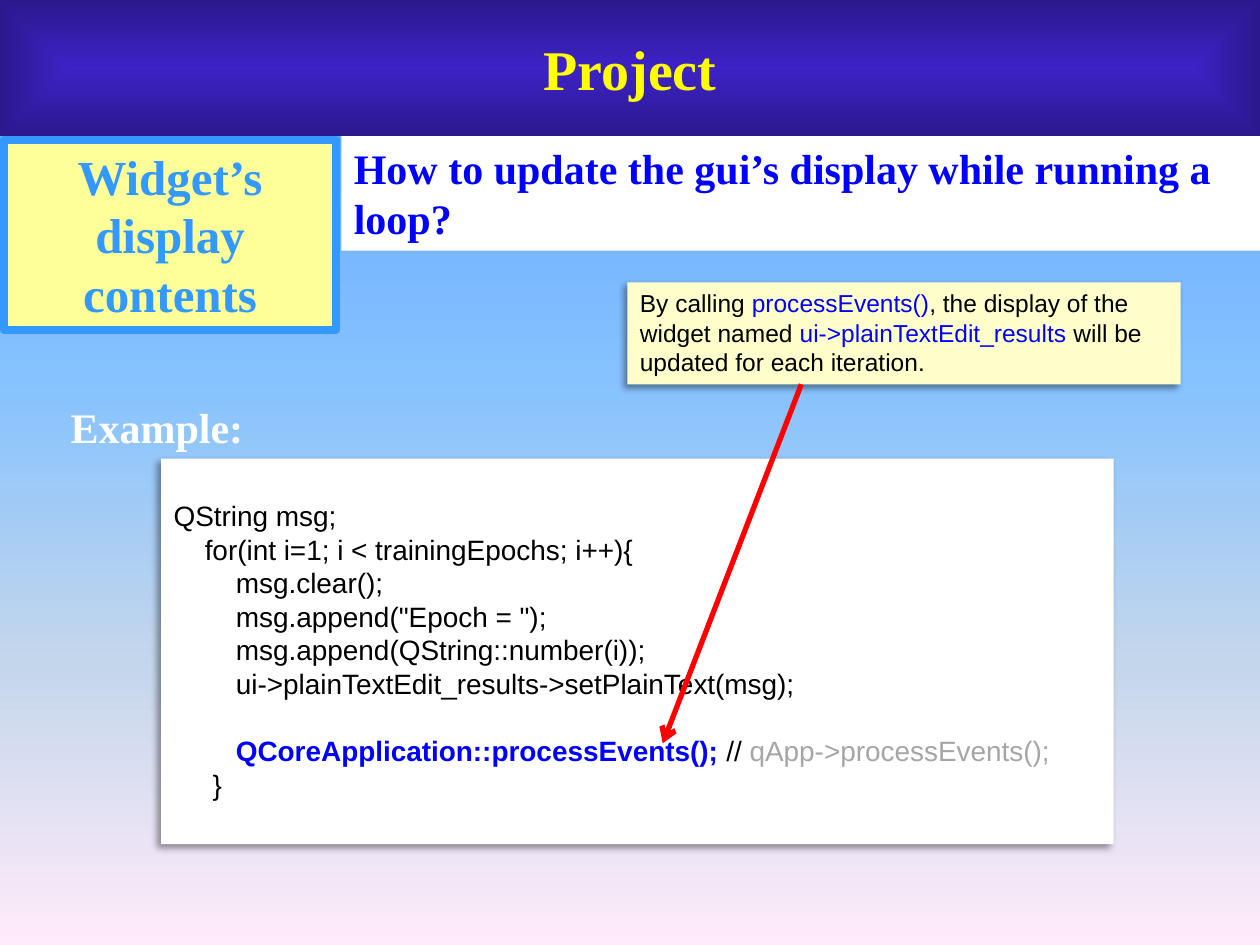
from dataclasses import dataclass

from pptx import Presentation
from pptx.dml.color import RGBColor
from pptx.enum.shapes import MSO_CONNECTOR as Connector, MSO_SHAPE as Shape
from pptx.enum.text import MSO_ANCHOR as Anchor, PP_ALIGN as Align
from pptx.oxml import parse_xml
from pptx.oxml.ns import nsdecls, qn
from pptx.util import Inches, Pt


@dataclass(frozen=True)
class Theme:
    serif: str = "Times New Roman"
    sans: str = "Arial"
    blue: str = "0000FF"
    black: str = "000000"
    white: str = "FFFFFF"
    grey: str = "A6A6A6"
    yellow: str = "FFFF00"
    red: str = "FF0000"
    sky: str = "3399FF"
    lemon: str = "FFFF99"
    cream: str = "FFFFCC"
    indigo: str = "3D22C6"
    title_size: int = 32
    topic_size: int = 28
    heading_size: int = 24
    code_size: int = 16
    note_size: int = 14
    leading: float = 1.2


T = Theme()
SKY_STOPS = [(0, "5E9EFF", 100), (40, "85C2FF", 100), (70, "C4D6EB", 100), (100, "FFEBFA", 100)]
TITLE_STOPS = [(0, T.indigo, 100), (100, T.indigo, 46.28)]

TITLE = "Project"
TOPIC = "Widget’s display contents"
QUESTION = "How to update the gui’s display while running a loop?"
EXAMPLE = "Example:"
NOTE = [
    ("By calling ", T.black, False),
    ("processEvents()", T.blue, False),
    (", the display of the widget named ", T.black, False),
    ("ui->plainTextEdit_results", T.blue, False),
    (" will be updated for each iteration.", T.black, False),
]
CODE = [
    (0, "QString msg;"),
    (4, "for(int i=1; i < trainingEpochs; i++){"),
    (8, "msg.clear();"),
    (8, 'msg.append("Epoch = ");'),
    (8, "msg.append(QString::number(i));"),
    (8, "ui->plainTextEdit_results->setPlainText(msg);"),
    (8, [("QCoreApplication::processEvents(); ", T.blue, True),
         ("// ", T.black, False),
         ("qApp->processEvents();", T.grey, False)]),
    (5, "}"),
]
GAP_BEFORE = 6
SPACE_WIDTH = 0.278


def rgb(color):
    """Turn a hex string into a colour."""
    return RGBColor.from_string(color)


def set_gradient(element, stops, direction):
    """Replace the first solid fill of an element by a gradient."""
    marks = "".join(
        f'<a:gs pos="{pos * 1000}"><a:srgbClr val="{color}">'
        + (f'<a:shade val="{round(shade * 1000)}"/>' if shade < 100 else "")
        + "</a:srgbClr></a:gs>"
        for pos, color, shade in stops)
    solid = element.find(".//" + qn("a:solidFill"))
    solid.getparent().replace(solid, parse_xml(
        f'<a:gradFill {nsdecls("a")} rotWithShape="1"><a:gsLst>{marks}</a:gsLst>'
        f"{direction}</a:gradFill>"))


def add_panel(slide, box, fill, outline=None):
    """Add a flat rectangle with top-anchored text."""
    panel = slide.shapes.add_shape(Shape.RECTANGLE, *map(Inches, box))
    panel.shadow.inherit = False
    panel.fill.solid()
    panel.fill.fore_color.rgb = rgb(fill)
    if outline:
        panel.line.color.rgb = rgb(outline)
        panel.line.width = Pt(4.5)
    else:
        panel.line.fill.background()
    panel.text_frame.vertical_anchor = Anchor.TOP
    panel.text_frame.word_wrap = True
    return panel


def cast_shadow(panel):
    """Give a panel a soft shadow to the lower left."""
    effects = panel.element.spPr.find(qn("a:effectLst"))
    effects.append(parse_xml(
        f'<a:outerShdw {nsdecls("a")} blurRad="{Pt(4)}" dist="{Pt(3)}" dir="8100000" '
        'algn="tr" rotWithShape="0"><a:srgbClr val="000000"><a:alpha val="40000"/>'
        "</a:srgbClr></a:outerShdw>"))


def write(paragraph, pieces, font, size, align=Align.LEFT):
    """Fill a paragraph with coloured pieces of text."""
    paragraph.alignment = align
    paragraph.line_spacing = Pt(size * T.leading)
    for text, color, bold in pieces:
        run = paragraph.add_run()
        run.text = text
        run.font.name = font
        run.font.size = Pt(size)
        run.font.bold = bold
        run.font.color.rgb = rgb(color)


def write_heading(frame, text, color, size, align=Align.LEFT):
    """Write one bold serif line."""
    write(frame.paragraphs[0], [(text, color, True)], T.serif, size, align)


def add_code(slide):
    """Add the code listing with its indents and gap."""
    listing = add_panel(slide, (1.28, 3.64, 7.56, 3.06), T.white)
    cast_shadow(listing)
    frame = listing.text_frame
    line_height = Pt(T.code_size * T.leading)
    frame.margin_top = frame.margin_bottom = Inches(0.05) + line_height
    for number, (spaces, content) in enumerate(CODE):
        line = frame.add_paragraph() if number else frame.paragraphs[0]
        pieces = [(content, T.black, False)] if isinstance(content, str) else content
        write(line, pieces, T.sans, T.code_size)
        indent = Pt(spaces * SPACE_WIDTH * T.code_size)
        line._p.get_or_add_pPr().set("marL", str(int(indent)))
        if number == GAP_BEFORE:
            line.space_before = line_height


def add_arrow(slide, start, end):
    """Add the red arrow from the note to the call."""
    arrow = slide.shapes.add_connector(Connector.STRAIGHT, *map(Inches, start + end))
    arrow.line.color.rgb = rgb(T.red)
    arrow.line.width = Pt(3)
    arrow.line._get_or_add_ln().append(parse_xml(f'<a:tailEnd {nsdecls("a")} type="arrow"/>'))
    arrow.element.spPr.append(parse_xml(f'<a:effectLst {nsdecls("a")}/>'))


def main():
    """Build the slide and save it."""
    deck = Presentation()
    deck.slide_width, deck.slide_height = Inches(10), Inches(7.5)
    slide = deck.slides.add_slide(deck.slide_layouts[6])
    slide.background.fill.solid()
    set_gradient(slide.element, SKY_STOPS, '<a:lin ang="5400000" scaled="0"/>')

    question = add_panel(slide, (2.71, 1.08, 7.29, 0.91), T.white)
    write_heading(question.text_frame, QUESTION, T.blue, T.heading_size)

    title = add_panel(slide, (0, 0, 10, 1.08), T.indigo)
    set_gradient(title.element, TITLE_STOPS,
                 '<a:path path="rect"><a:fillToRect l="50000" t="50000" r="50000" b="50000"/></a:path>')
    title.text_frame.vertical_anchor = Anchor.MIDDLE
    write_heading(title.text_frame, TITLE, T.yellow, T.title_size, Align.CENTER)

    topic = add_panel(slide, (0.03, 1.11, 2.64, 1.51), T.lemon, T.sky)
    write_heading(topic.text_frame, TOPIC, T.sky, T.topic_size, Align.CENTER)

    note = add_panel(slide, (4.98, 2.24, 4.39, 0.81), T.cream)
    cast_shadow(note)
    write(note.text_frame.paragraphs[0], NOTE, T.sans, T.note_size)

    add_code(slide)

    example = slide.shapes.add_textbox(*map(Inches, (0.45, 3.14, 1.59, 0.51)))
    example.text_frame.word_wrap = False
    write_heading(example.text_frame, EXAMPLE, T.white, T.heading_size, Align.CENTER)

    add_arrow(slide, (6.36, 3.05), (5.26, 5.9))
    deck.save("out.pptx")


if __name__ == "__main__":
    main()
